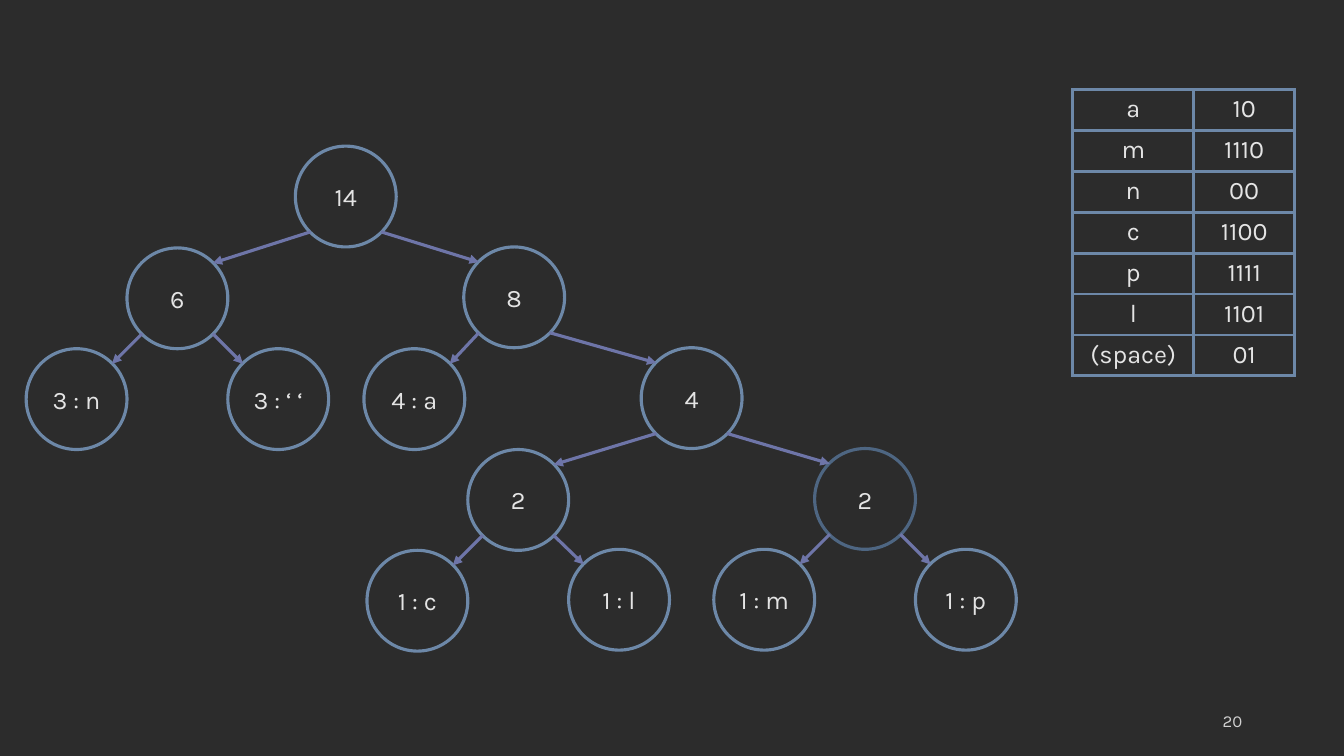
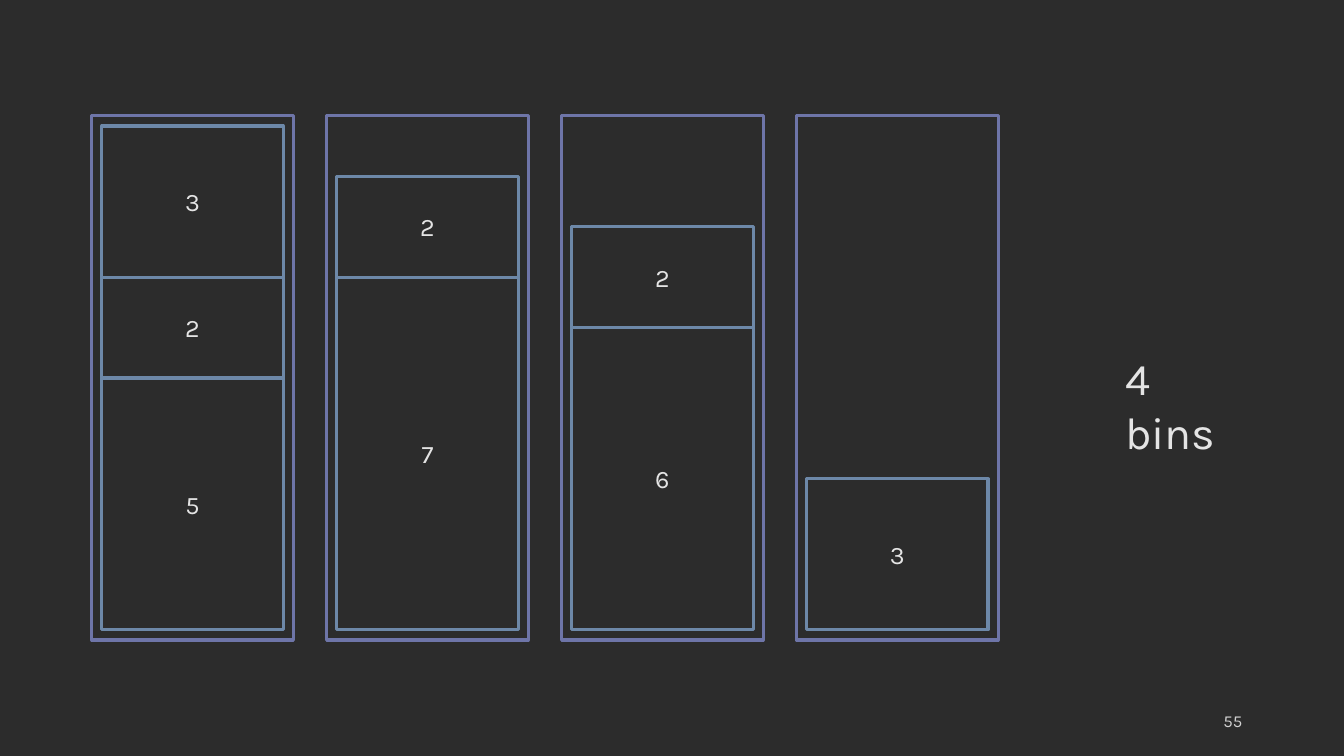
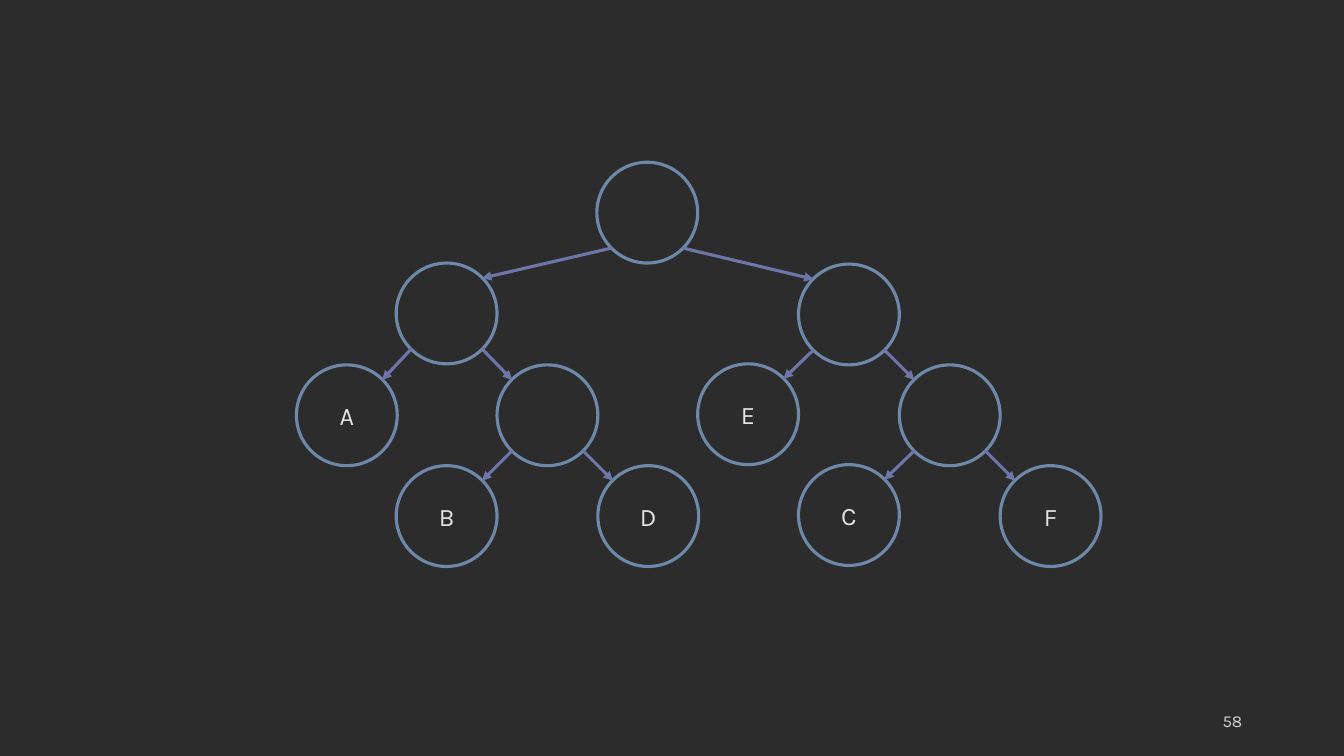
from pptx import Presentation
from pptx.dml.color import RGBColor
from pptx.enum.shapes import MSO_CONNECTOR, MSO_SHAPE
from pptx.enum.text import MSO_ANCHOR, PP_ALIGN
from pptx.oxml import parse_xml
from pptx.oxml.ns import nsdecls, qn
from pptx.util import Emu, Pt

ELLIPSE, RECT = MSO_SHAPE.OVAL, MSO_SHAPE.RECTANGLE
STRAIGHT = MSO_CONNECTOR.STRAIGHT
LEFT, CENTER, RIGHT = PP_ALIGN.LEFT, PP_ALIGN.CENTER, PP_ALIGN.RIGHT
TOP, MIDDLE = MSO_ANCHOR.TOP, MSO_ANCHOR.MIDDLE

COLORS = {
    "bg": "2C2C2C",
    "text": "E4E4E4",
    "number": "D1D1D1",
    "blue": "6D88A8",
    "dark_blue": "4E6682",
    "violet": "6E75A8",
}
FONT = "Karla"
LINE_PT = 2.25
NODE = 100
NEAR, FAR = 15, 85

CODES = [("a", "10"), ("m", "1110"), ("n", "00"), ("c", "1100"),
         ("p", "1111"), ("l", "1101"), ("(space)", "01")]

HUFFMAN_TREE = (293, 145, "14", [
    (126, 246, "6", [(26, 346, "3 : n", []), (226, 346, "3 : ‘ ‘", [])]),
    (460, 245, "8", [
        (361, 346, "4 : a", []),
        (636, 345, "4", [
            (464, 446, "2", [(364, 546, "1 : c", []), (564, 545, "1 : l", [])]),
            (808, 445, "2", [(708, 545, "1 : m", []), (908, 545, "1 : p", [])]),
        ]),
    ]),
])
DARK_NODE = (808, 445)

LETTER_TREE = (592, 161, "", [
    (393, 261, "", [
        (294, 362, "A", []),
        (493, 362, "", [(393, 462, "B", []), (593, 462, "D", [])]),
    ]),
    (792, 262, "", [
        (692, 361, "E", []),
        (892, 362, "", [(792, 461, "C", []), (992, 462, "F", [])]),
    ]),
])

BINS = [(5, 2, 3), (7, 2), (6, 2), (3,)]
BIN_LEFT, BIN_TOP, BIN_W, BIN_H, BIN_STEP = 91, 115, 200, 520, 233
BIN_PAD, UNIT = 10, 50


def px(n):
    """Turn px into EMU, 100 px to the inch."""
    return Emu(n * 9144)


def rgb(name):
    """Look up a palette colour."""
    return RGBColor.from_string(COLORS[name])


class Deck:
    """Hold the style and the current slide."""

    def __init__(self, prs):
        """Set the slide size."""
        self.prs = prs
        prs.slide_width, prs.slide_height = px(1333), px(750)

    def slide(self, number):
        """Start a slide with its background and number."""
        self.s = self.prs.slides.add_slide(self.prs.slide_layouts[6])
        fill = self.s.background.fill
        fill.solid()
        fill.fore_color.rgb = rgb("bg")
        self.label(942, 695, 300, 40, str(number), 12, "number", RIGHT, MIDDLE)

    def add_text(self, tf, text, size=18, color="text", align=CENTER):
        """Put one styled run into a text frame."""
        p = tf.paragraphs[0]
        p.alignment = align
        r = p.add_run()
        r.text = text
        r.font.name, r.font.size = FONT, Pt(size)
        r.font.color.rgb = rgb(color)

    def label(self, x, y, w, h, text, size, color="text", align=LEFT, anchor=TOP):
        """Add a text box."""
        tf = self.s.shapes.add_textbox(px(x), px(y), px(w), px(h)).text_frame
        tf.word_wrap, tf.vertical_anchor = True, anchor
        self.add_text(tf, text, size, color, align)

    def outline(self, kind, x, y, w, h, text="", color="blue"):
        """Add an unfilled shape with optional centred text."""
        sp = self.s.shapes.add_shape(kind, px(x), px(y), px(w), px(h))
        sp.shadow.inherit = False
        sp.fill.background()
        sp.line.color.rgb, sp.line.width = rgb(color), Pt(LINE_PT)
        if text:
            tf = sp.text_frame
            tf.vertical_anchor = MIDDLE
            if kind == ELLIPSE:
                tf.margin_left = tf.margin_right = 0
                tf.margin_top = tf.margin_bottom = 0
            self.add_text(tf, text)

    def arrow(self, x1, y1, x2, y2):
        """Add a straight arrow."""
        c = self.s.shapes.add_connector(STRAIGHT, px(x1), px(y1), px(x2), px(y2))
        c.line.color.rgb, c.line.width = rgb("violet"), Pt(LINE_PT)
        sp_pr = c._element.spPr
        ln = sp_pr.find(qn("a:ln"))
        ln.append(parse_xml(f'<a:tailEnd {nsdecls("a")} type="triangle"/>'))
        sp_pr.append(parse_xml(f'<a:effectLst {nsdecls("a")}/>'))

    def tree(self, node, dark=None):
        """Draw a node, its children and the arrows between them."""
        x, y, text, children = node
        color = "dark_blue" if (x, y) == dark else "blue"
        self.outline(ELLIPSE, x, y, NODE, NODE, text, color)
        for child, start, end in zip(children, (NEAR, FAR), (FAR, NEAR)):
            self.tree(child, dark)
            self.arrow(x + start, y + FAR, child[0] + end, child[1] + NEAR)

    def table(self, x, y, widths, h, rows):
        """Add an outlined table with centred text."""
        frame = self.s.shapes.add_table(
            len(rows), len(widths), px(x), px(y), px(sum(widths)), px(h))
        tbl = frame.table
        tbl.first_row = tbl.horz_banding = False
        for col, w in zip(tbl.columns, widths):
            col.width = px(w)
        for i, row in enumerate(rows):
            for j, text in enumerate(row):
                cell = tbl.cell(i, j)
                cell.fill.background()
                self.add_text(cell.text_frame, text)
                self.borders(cell)

    def borders(self, cell):
        """Draw the four borders of a cell."""
        tc_pr = cell._tc.get_or_add_tcPr()
        for i, side in enumerate(("lnL", "lnR", "lnT", "lnB")):
            tc_pr.insert(i, parse_xml(
                f'<a:{side} {nsdecls("a")} w="{Pt(LINE_PT)}"><a:solidFill>'
                f'<a:srgbClr val="{COLORS["blue"]}"/></a:solidFill></a:{side}>'))

    def bin(self, x, items):
        """Draw a bin with its items stacked from the bottom."""
        self.outline(RECT, x, BIN_TOP, BIN_W, BIN_H, color="violet")
        y = BIN_TOP + BIN_H - BIN_PAD
        for size in items:
            h = size * UNIT
            y -= h
            self.outline(RECT, x + BIN_PAD, y, BIN_W - 2 * BIN_PAD, h, str(size))


def main():
    """Build the deck."""
    prs = Presentation()
    deck = Deck(prs)

    deck.slide(20)
    deck.table(1064, 89, (120, 100), 284, CODES)
    deck.tree(HUFFMAN_TREE, DARK_NODE)

    deck.slide(55)
    for i, items in enumerate(BINS):
        deck.bin(BIN_LEFT + i * BIN_STEP, items)
    deck.label(1106, 343, 136, 64, "4 bins", 32)

    deck.slide(58)
    deck.tree(LETTER_TREE)

    prs.save("out.pptx")


if __name__ == "__main__":
    main()
